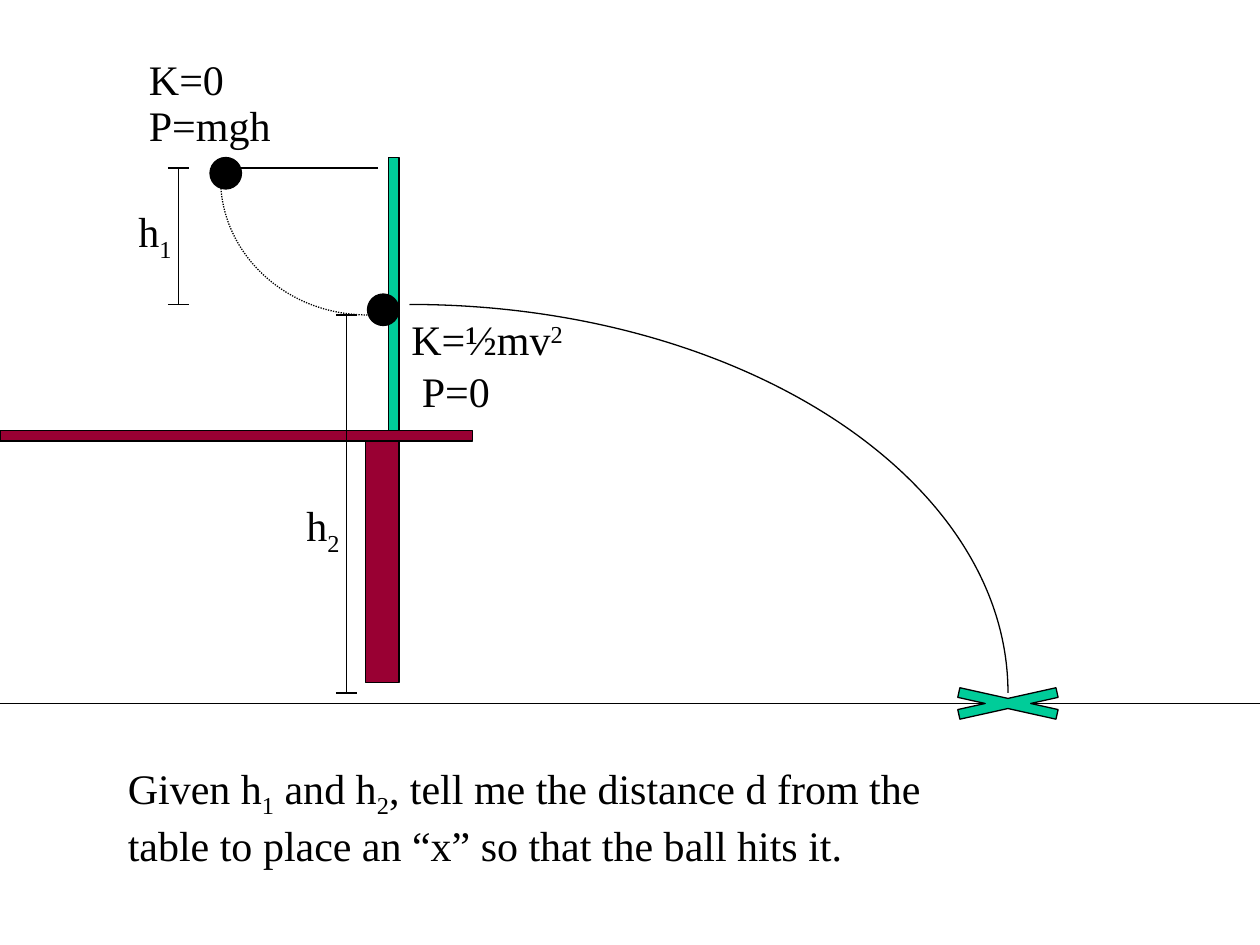
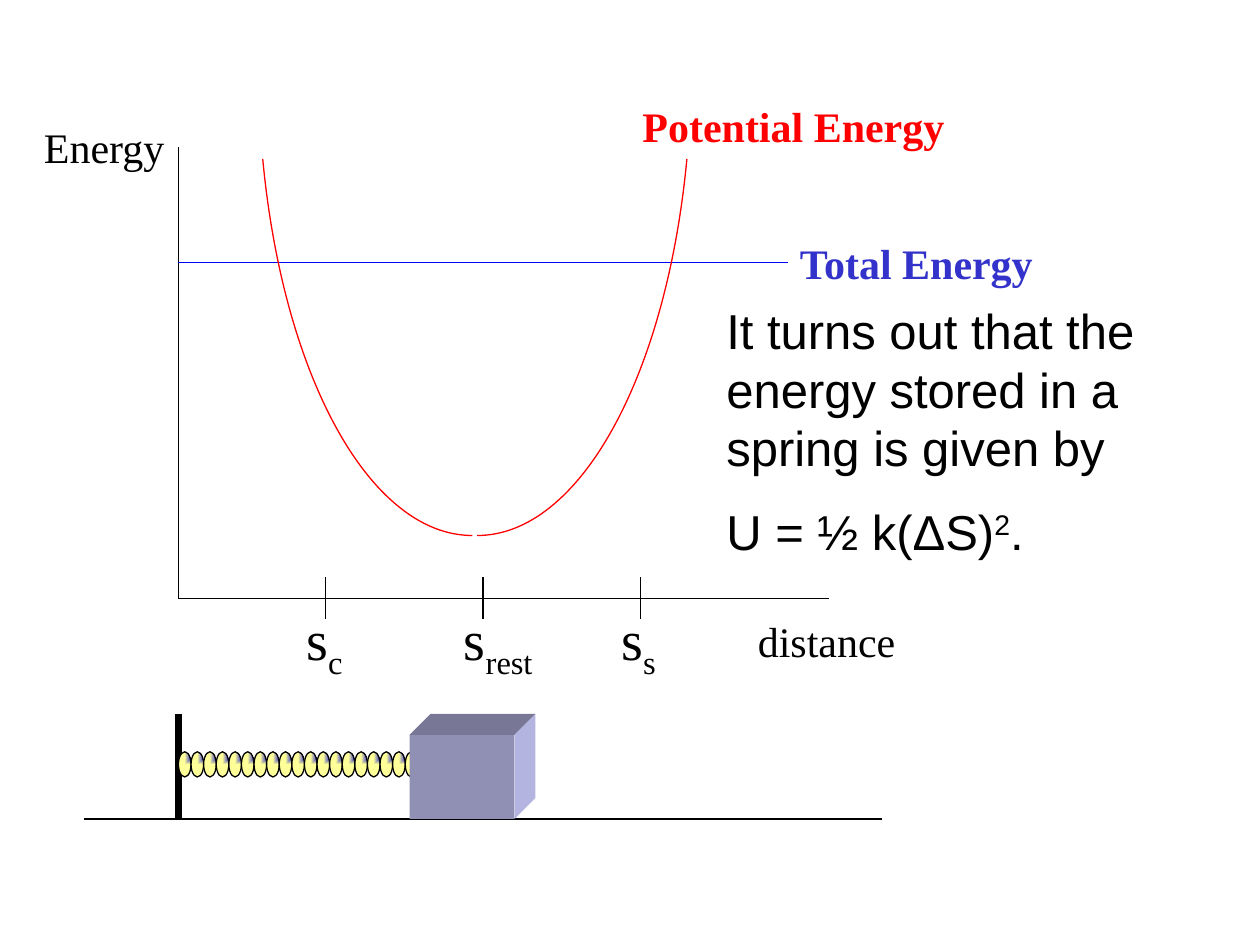
from dataclasses import dataclass
from math import cos, radians, sin, tan
from typing import NamedTuple

from lxml import etree
from pptx import Presentation
from pptx.dml.color import RGBColor
from pptx.enum.dml import MSO_LINE
from pptx.enum.shapes import MSO_CONNECTOR, MSO_SHAPE
from pptx.enum.text import MSO_AUTO_SIZE
from pptx.oxml.ns import qn
from pptx.util import Emu, Inches, Pt

RECT = MSO_SHAPE.RECTANGLE
OVAL = MSO_SHAPE.OVAL
CROSS = MSO_SHAPE.MATH_MULTIPLY
STRAIGHT = MSO_CONNECTOR.STRAIGHT
DOTS = MSO_LINE.ROUND_DOT
GROW = MSO_AUTO_SIZE.SHAPE_TO_FIT_TEXT

WIDTH, HEIGHT = Inches(10), Inches(7.5)
COLS = 120
CELL = WIDTH // COLS

BLACK, RED, BLUE, NAVY = "000000", "FF0000", "0000FF", "3333CC"
GREEN, WINE, YELLOW = "00CC99", "990033", "FFFF99"
FRONT, TOP, SIDE = "9090B4", "787896", "B4B4E1"
SERIF, SANS = "Times New Roman", "Arial"
THIN, THICK = 0.75, 4.5
SUB, SUP = -25000, 30000


class Box(NamedTuple):
    x: float
    y: float
    w: float
    h: float


class Run(NamedTuple):
    text: str
    shift: int = 0


@dataclass
class Label:
    box: Box
    paras: list[list[Run]]
    size: int = 24
    font: str = SERIF
    color: str = BLACK
    bold: bool = False
    before: int = 0
    pitch: float = 0


@dataclass
class Block:
    kind: int
    box: Box
    fill: str
    edge: str | None = BLACK


@dataclass
class Line:
    start: tuple[float, float]
    end: tuple[float, float]
    color: str = BLACK
    width: float = THIN


@dataclass
class Arc:
    center: tuple[float, float]
    radii: tuple[float, float]
    first: float
    last: float
    color: str = BLACK
    dash: int | None = None


def rgb(code: str) -> RGBColor:
    return RGBColor.from_string(code)


def unit(cells: float) -> Emu:
    return Emu(round(cells * CELL))


def frame(box: Box) -> list[Emu]:
    return [unit(side) for side in box]


def ink(line, color: str, width: float = THIN) -> None:
    line.color.rgb = rgb(color)
    line.width = Pt(width)


def paint(shape, fill: str, edge: str | None) -> None:
    shape.shadow.inherit = False
    shape.fill.solid()
    shape.fill.fore_color.rgb = rgb(fill)
    if edge:
        ink(shape.line, edge)
    else:
        shape.line.fill.background()


def draw_block(shapes, block: Block):
    shape = shapes.add_shape(block.kind, *frame(block.box))
    paint(shape, block.fill, block.edge)
    return shape


def draw_line(shapes, line: Line) -> None:
    link = shapes.add_connector(STRAIGHT, *map(unit, line.start + line.end))
    etree.SubElement(link._element.spPr, qn("a:effectLst"))
    ink(link.line, line.color, line.width)


def draw_path(shapes, points: list[tuple[float, float]], close: bool):
    spots = [(unit(x), unit(y)) for x, y in points]
    pen = shapes.build_freeform(*spots[0])
    pen.add_line_segments(spots[1:], close=close)
    return pen.convert_to_shape()


def draw_arc(shapes, arc: Arc) -> None:
    (cx, cy), (rx, ry) = arc.center, arc.radii
    start, end = radians(arc.first), radians(arc.last)
    pull = 4 / 3 * tan((end - start) / 4)

    def spot(turn: float, lean: float) -> tuple[float, float]:
        return cx + rx * (cos(turn) - lean * sin(turn)), cy + ry * (sin(turn) + lean * cos(turn))

    shape = draw_path(shapes, [spot(start, 0), spot(end, 0)], False)
    chord = next(shape._element.iter(qn("a:lnTo")))
    curve = etree.Element(qn("a:cubicBezTo"))
    for x, y in (spot(start, pull), spot(end, -pull), spot(end, 0)):
        place = {"x": str(unit(x) - shape.left), "y": str(unit(y) - shape.top)}
        etree.SubElement(curve, qn("a:pt"), place)
    chord.getparent().replace(chord, curve)
    shape.shadow.inherit = False
    shape.fill.background()
    ink(shape.line, arc.color)
    if arc.dash:
        shape.line.dash_style = arc.dash


def draw_label(shapes, label: Label) -> None:
    body = shapes.add_textbox(*frame(label.box)).text_frame
    body.word_wrap = True
    body.auto_size = GROW
    for i, runs in enumerate(label.paras):
        para = body.add_paragraph() if i else body.paragraphs[0]
        if label.pitch:
            para.line_spacing = label.pitch
        if label.before:
            gap = etree.SubElement(para._p.get_or_add_pPr(), qn("a:spcBef"))
            etree.SubElement(gap, qn("a:spcPct"), val=str(label.before * 1000))
        for part in runs:
            run = para.add_run()
            run.text = part.text
            run.font.name = label.font
            run.font.size = Pt(label.size)
            run.font.bold = label.bold
            run.font.color.rgb = rgb(label.color)
            if part.shift:
                run.font._element.set("baseline", str(part.shift))


def draw_gauge(shapes, x: float, top: float, low: float) -> None:
    group = shapes.add_group_shape().shapes
    draw_line(group, Line((x, top), (x, low)))
    for y in (top, low):
        draw_line(group, Line((x - 1, y), (x + 1, y)))


def draw_coil(shapes, box: Box) -> None:
    coil = draw_block(shapes, Block(OVAL, box, YELLOW))
    coil.rotation = 270
    coil.fill.gradient()
    for stop, color, place in zip(coil.fill.gradient_stops, (NAVY, YELLOW), (0, 1)):
        stop.color.rgb = rgb(color)
        stop.position = place
    grad = coil._element.spPr.find(qn("a:gradFill"))
    grad.remove(grad.find(qn("a:lin")))
    route = etree.Element(qn("a:path"), {"path": "rect"})
    etree.SubElement(route, qn("a:fillToRect"), l="100000", b="100000")
    grad.find(qn("a:gsLst")).addnext(route)


def draw_spring(shapes, x: float, y: float, count: int) -> None:
    group = shapes.add_group_shape().shapes
    wide, tall = 2.4, 1.2
    for i in range(count):
        draw_coil(group, Box(x + i * tall, y, wide, tall))


def draw_cube(shapes, box: Box, depth: float) -> None:
    x, y, w, h = box
    right, low = x + w, y + h
    far, high = right + depth, y - depth
    roof = [(x, y), (x + depth, high), (far, high), (right, y)]
    flank = [(right, y), (far, high), (far, low - depth), (right, low)]
    draw_block(shapes, Block(RECT, box, FRONT, None))
    for points, color in ((roof, TOP), (flank, SIDE)):
        paint(draw_path(shapes, points, True), color, None)


def draw_launch(shapes) -> None:
    draw_block(shapes, Block(RECT, Box(37, 15, 1, 26), GREEN))
    draw_line(shapes, Line((36, 16), (21, 16)))
    draw_arc(shapes, Arc((35, 17), (14, 13), 90, 180, dash=DOTS))
    for x, y in ((20, 15), (35, 28)):
        draw_block(shapes, Block(OVAL, Box(x, y, 3, 3), BLACK))
    draw_arc(shapes, Arc((39, 66), (57, 37), -90, 0))
    table = shapes.add_group_shape().shapes
    for box in (Box(0, 41, 45, 1), Box(34.8, 42, 3.2, 23)):
        draw_block(table, Block(RECT, box, WINE))
    draw_line(shapes, Line((0, 67), (COLS, 67)))
    task = [
        Run("Given h"), Run("1", SUB), Run(" and h"), Run("2", SUB),
        Run(", tell me the distance d from the table to place an “x” so that the ball hits it."),
    ]
    speed = [Run("K=½mv"), Run("2", SUP)]
    for label in (
        Label(Box(13, 6.6, 32, 8.4), [[Run("K=0")], [Run("P=mgh")]], before=50, pitch=0.5),
        Label(Box(38, 31, 32, 9.4), [speed, [Run(" P=0")]], before=50, pitch=0.6),
        Label(Box(11, 72, 83, 10.9), [task]),
    ):
        draw_label(shapes, label)
    draw_block(shapes, Block(CROSS, Box(87, 65, 18, 4), GREEN))
    draw_gauge(shapes, 17, 16, 29)
    draw_gauge(shapes, 33, 30, 66)
    for box, mark in ((Box(12, 19, 7, 6.1), "1"), (Box(28, 47, 8, 6.1), "2")):
        draw_label(shapes, Label(box, [[Run("h"), Run(mark, SUB)]]))


def draw_energy(shapes) -> None:
    for line in (
        Line((8, 78), (84, 78)),
        Line((17, 14), (17, 57)),
        Line((17, 57), (79, 57)),
        Line((17, 68), (17, 78), width=THICK),
    ):
        draw_line(shapes, line)
    draw_spring(shapes, 16.4, 72.2, 19)
    draw_cube(shapes, Box(39, 70, 10, 8), 2)
    for x, mark in ((46, "rest"), (31, "c"), (61, "s")):
        draw_line(shapes, Line((x, 55), (x, 59)))
        text = [Run("s"), Run(mark, SUB)]
        draw_label(shapes, Label(Box(x - 3, 57, 16, 7.6), [text], size=32, before=50))
    draw_line(shapes, Line((17, 25), (75, 25), BLUE))
    draw_label(shapes, Label(Box(3, 11, 20, 6), [[Run("Energy")]], before=50))
    well = shapes.add_group_shape().shapes
    for x, edge in ((45.45, 11.7), (45, 168.3)):
        draw_arc(well, Arc((x, 6), (20.4, 45), 90, edge, RED))
    law = [
        [Run("It turns out that the energy stored in a spring is given by")],
        [Run("U = ½ k(ΔS)"), Run("2", SUP), Run(".")],
    ]
    for label in (
        Label(Box(75, 22, 34, 6), [[Run("Total Energy")]], color=NAVY, bold=True, before=50),
        Label(Box(60, 9, 34, 6), [[Run("Potential Energy")]], color=RED, bold=True, before=50),
        Label(Box(68, 28, 52, 32.2), law, size=28, font=SANS, before=50),
        Label(Box(71, 58, 24, 6.1), [[Run("distance")]]),
    ):
        draw_label(shapes, label)


def main() -> None:
    deck = Presentation()
    deck.slide_width, deck.slide_height = WIDTH, HEIGHT
    blank = deck.slide_layouts[6]
    for draw in (draw_launch, draw_energy):
        draw(deck.slides.add_slide(blank).shapes)
    deck.save("out.pptx")


if __name__ == "__main__":
    main()
